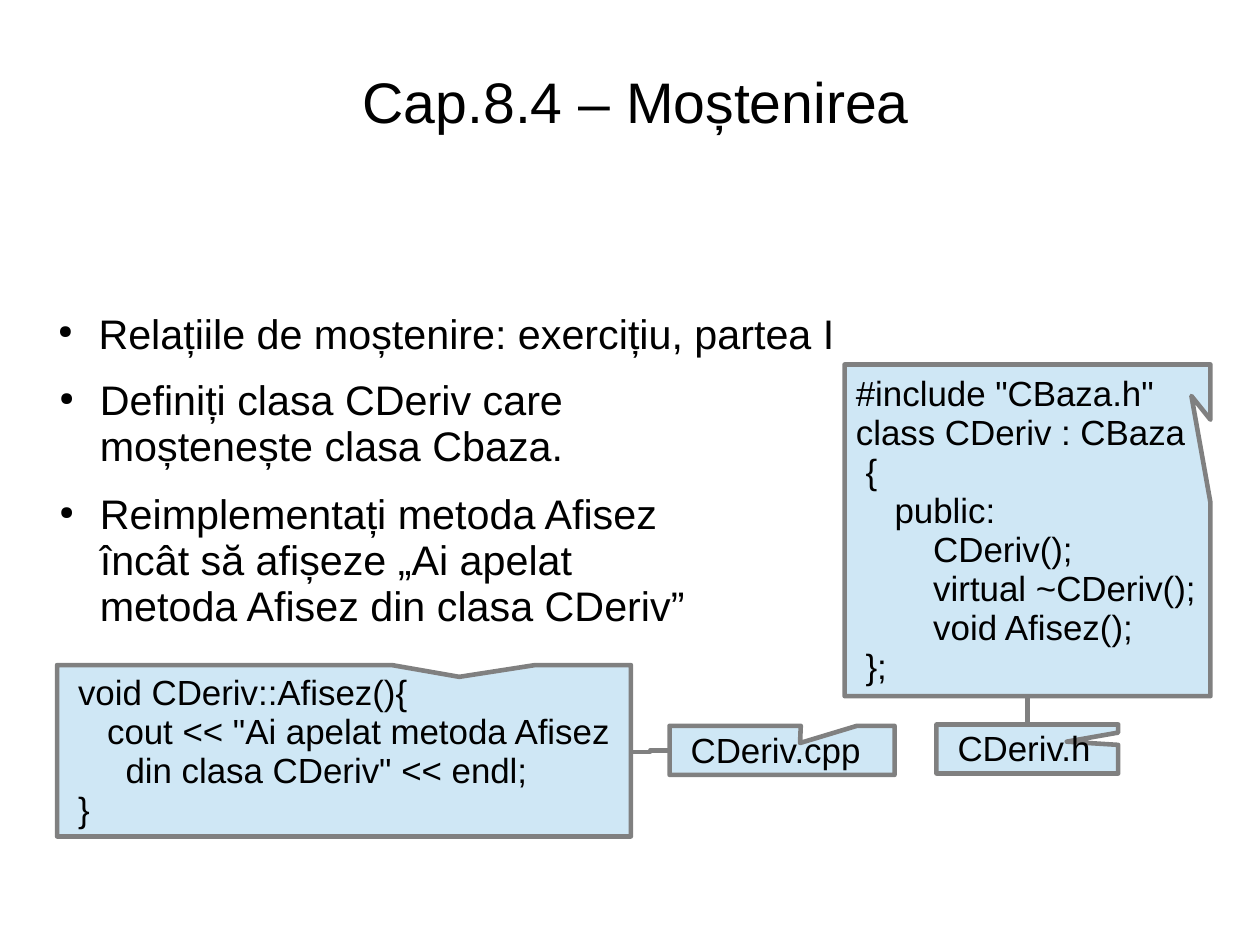
from dataclasses import dataclass

from lxml.etree import SubElement
from pptx import Presentation
from pptx.dml.color import RGBColor
from pptx.enum.shapes import MSO_CONNECTOR, MSO_SHAPE
from pptx.enum.text import MSO_ANCHOR, MSO_AUTO_SIZE, PP_ALIGN
from pptx.oxml.ns import qn
from pptx.slide import Slide
from pptx.text.text import TextFrame
from pptx.util import Cm, Pt


@dataclass(frozen=True)
class Theme:
    font: str = "Arial"
    ink: RGBColor = RGBColor(0x00, 0x00, 0x00)
    fill: RGBColor = RGBColor(0xCF, 0xE7, 0xF5)
    edge: RGBColor = RGBColor(0x80, 0x80, 0x80)
    title: float = 36
    body: float = 26
    code: float = 22
    line: float = 2.89
    pitch: float = 0.93
    gap: float = 14.1


@dataclass(frozen=True)
class Box:
    left: float
    top: float
    width: float
    height: float

    def place(self) -> tuple[Cm, Cm, Cm, Cm]:
        return Cm(self.left), Cm(self.top), Cm(self.width), Cm(self.height)


@dataclass(frozen=True)
class Points:
    box: Box
    items: tuple[str, ...]


@dataclass(frozen=True)
class Note:
    box: Box
    tip: tuple[float, float]
    lines: tuple[str, ...]
    inset: float = 0.25


@dataclass(frozen=True)
class Link:
    kind: MSO_CONNECTOR
    start: tuple[float, float]
    end: tuple[float, float]


THEME = Theme()
TITLE = "Cap.8.4 – Moștenirea"
TITLE_BOX = Box(0.91, 0.71, 26.44, 3.15)
POINTS = (
    Points(Box(0.99, 6.86, 17.81, 1.52), ("Relațiile de moștenire: exercițiu, partea I",)),
    Points(Box(1.02, 8.33, 14.48, 6.65), (
        "Definiți clasa CDeriv care moștenește clasa Cbaza.",
        "Reimplementați metoda Afisez încât să afișeze „Ai apelat metoda Afisez din clasa CDeriv”",
    )),
)
LINKS = (
    Link(MSO_CONNECTOR.STRAIGHT, (22.83, 16.1), (22.83, 15.47)),
    Link(MSO_CONNECTOR.ELBOW, (14.88, 16.68), (14.02, 16.71)),
)
NOTES = (
    Note(Box(20.81, 16.1, 4.04, 1.09), (0.217, -0.149), ("CDeriv.h",), 0.47),
    Note(Box(18.77, 8.1, 8.13, 7.37), (0.448, -0.405), (
        '#include "CBaza.h"',
        "class CDeriv : CBaza",
        " {",
        "    public:",
        "        CDeriv();",
        "        virtual ~CDeriv();",
        "        void Afisez();",
        " };",
    )),
    Note(Box(14.88, 16.13, 5, 1.09), (0.08, -0.149), ("CDeriv.cpp",), 0.47),
    Note(Box(1.27, 14.78, 12.75, 3.81), (0.201, -0.431), (
        " void CDeriv::Afisez(){",
        '    cout << "Ai apelat metoda Afisez',
        '\tdin clasa CDeriv" << endl;',
        " }",
    )),
)


def set_frame(frame: TextFrame, left: float, top: float, right: float, base: float) -> None:
    frame.auto_size = MSO_AUTO_SIZE.NONE
    frame.margin_left, frame.margin_top = Cm(left), Cm(top)
    frame.margin_right, frame.margin_bottom = Cm(right), Cm(base)


def add_text(frame: TextFrame, lines: tuple[str, ...], size: float, align: PP_ALIGN) -> None:
    for index, line in enumerate(lines):
        para = frame.paragraphs[0] if index == 0 else frame.add_paragraph()
        para.alignment = align
        para.line_spacing = THEME.pitch
        run = para.add_run()
        run.text = line
        run.font.name = THEME.font
        run.font.size = Pt(size)
        run.font.color.rgb = THEME.ink


def add_title(slide: Slide) -> None:
    title = slide.shapes.title
    title.left, title.top, title.width, title.height = TITLE_BOX.place()
    frame = title.text_frame
    set_frame(frame, 0, 0.08, 0, 0)
    frame.vertical_anchor = MSO_ANCHOR.MIDDLE
    add_text(frame, (TITLE,), THEME.title, PP_ALIGN.CENTER)


def add_points(slide: Slide, points: Points) -> None:
    frame = slide.shapes.add_textbox(*points.box.place()).text_frame
    frame.word_wrap = True
    set_frame(frame, 0, 0.08, 0, 0)
    add_text(frame, points.items, THEME.body, PP_ALIGN.LEFT)
    for para in frame.paragraphs:
        props = para._p.get_or_add_pPr()
        props.set("marL", str(Cm(1.2)))
        props.set("indent", str(Cm(-0.9)))
        tint = SubElement(props, qn("a:buClr"))
        SubElement(tint, qn("a:srgbClr"), val=str(THEME.ink))
        SubElement(props, qn("a:buSzPct"), val="45000")
        SubElement(props, qn("a:buChar"), char="●")
        para.space_after = Pt(THEME.gap)


def add_link(slide: Slide, link: Link) -> None:
    ends = [Cm(value) for value in link.start + link.end]
    line = slide.shapes.add_connector(link.kind, *ends)
    line.line.color.rgb = THEME.edge
    line.line.width = Pt(THEME.line)
    SubElement(line._element.spPr, qn("a:effectLst"))


def add_note(slide: Slide, note: Note) -> None:
    shape = slide.shapes.add_shape(MSO_SHAPE.RECTANGULAR_CALLOUT, *note.box.place())
    shape.adjustments[0], shape.adjustments[1] = note.tip
    shape.shadow.inherit = False
    shape.fill.solid()
    shape.fill.fore_color.rgb = THEME.fill
    shape.line.color.rgb = THEME.edge
    shape.line.width = Pt(THEME.line)
    frame = shape.text_frame
    frame.word_wrap = False
    frame.vertical_anchor = MSO_ANCHOR.MIDDLE
    set_frame(frame, note.inset, 0.18, 0.25, 0.13)
    add_text(frame, note.lines, THEME.code, PP_ALIGN.LEFT)
    for para in frame.paragraphs:
        tabs = SubElement(para._p.get_or_add_pPr(), qn("a:tabLst"))
        SubElement(tabs, qn("a:tab"), pos=str(Cm(1.27)), algn="l")


def main() -> None:
    deck = Presentation()
    deck.slide_width, deck.slide_height = Cm(28), Cm(21)
    slide = deck.slides.add_slide(deck.slide_layouts[5])
    add_title(slide)
    for points in POINTS:
        add_points(slide, points)
    for link in LINKS:
        add_link(slide, link)
    for note in NOTES:
        add_note(slide, note)
    deck.save("out.pptx")


if __name__ == "__main__":
    main()
